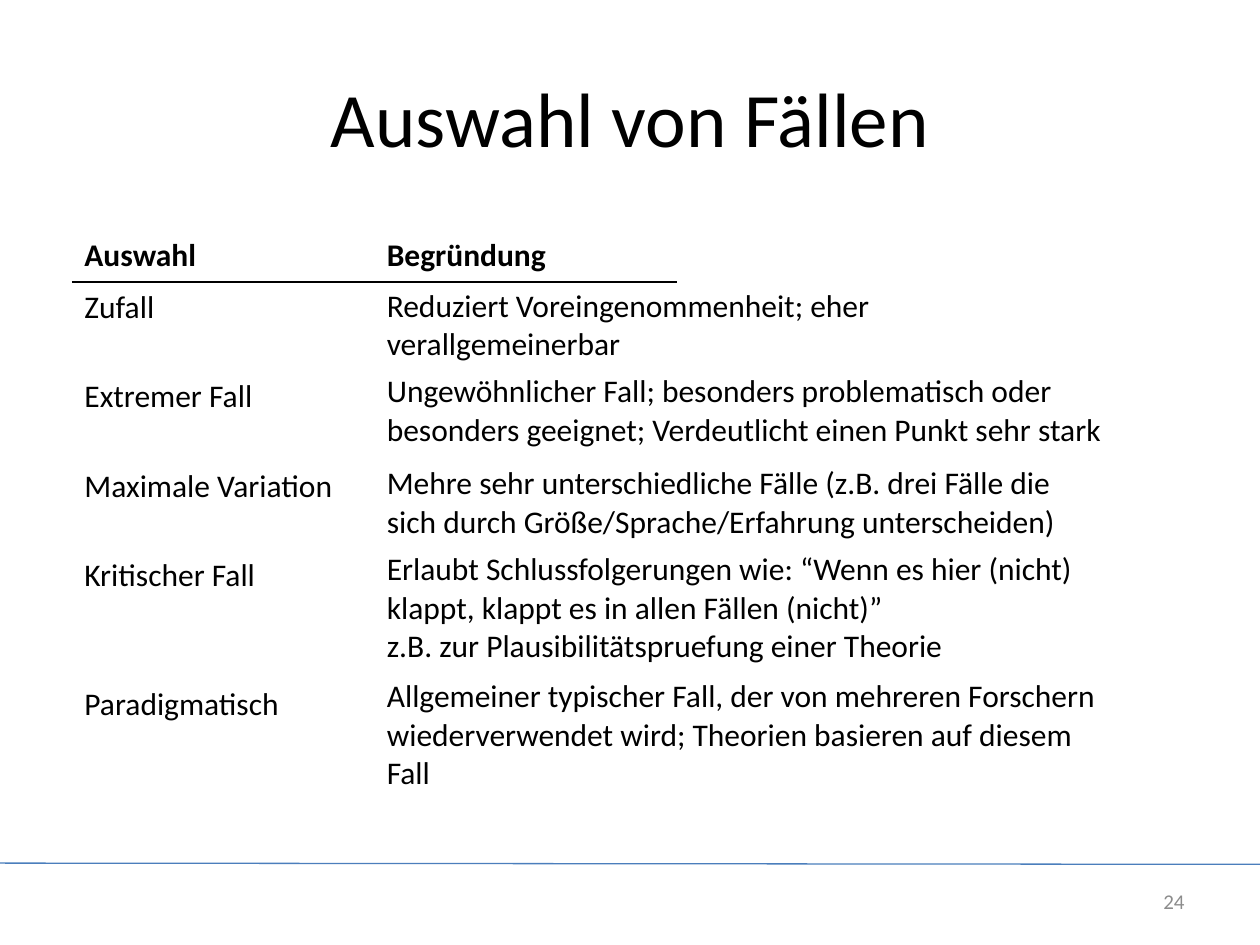
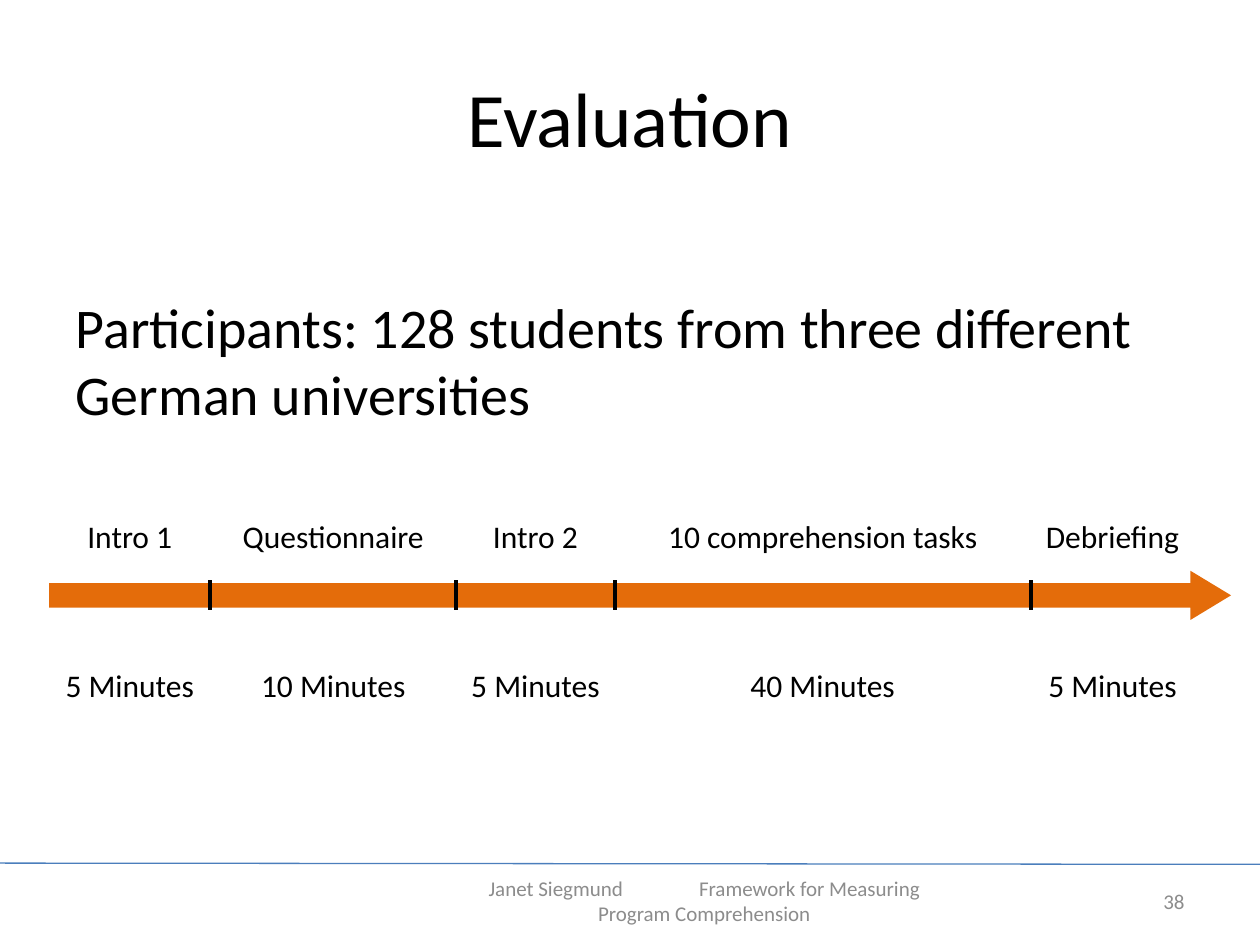
from lxml import etree
from pptx import Presentation, util as u
from pptx.dml.color import RGBColor
from pptx.enum import shapes, text
from pptx.oxml import ns

FONT = "Calibri"
BLACK, GREY, BLUE, ORANGE = "000000", "8C8C8C", "4B7EBC", "E46C0A"
LEFT, MID, RIGHT = text.PP_ALIGN.LEFT, text.PP_ALIGN.CENTER, text.PP_ALIGN.RIGHT
PLAIN = "{2D5ABB26-0587-4C30-8999-92F81FD0307C}"  # table style without grid
inch = u.Inches


def write(frame, words, size, tint=BLACK, align=MID, bold=False, anchor=text.MSO_ANCHOR.MIDDLE):
    frame.text = words
    frame.word_wrap = True
    frame.vertical_anchor = anchor
    for para in frame.paragraphs:
        para.alignment = align
        for run in para.runs:
            font = run.font
            font.name, font.size, font.bold = FONT, u.Pt(size), bold
            font.color.rgb = RGBColor.from_string(tint)


def draw(slide, x1, y1, x2, y2, tint, width):
    line = slide.shapes.add_connector(
        shapes.MSO_CONNECTOR.STRAIGHT, inch(x1), inch(y1), inch(x2), inch(y2))
    line.line.color.rgb = RGBColor.from_string(tint)
    line.line.width = u.Pt(width)
    etree.SubElement(line._element.spPr, ns.qn("a:effectLst"))


deck = Presentation()
deck.slide_width, deck.slide_height = inch(10), inch(7.5)

# Parts both slides share: rule, title and page number
pages = []
for layout, title, number in [(5, "Auswahl von Fällen", "24"), (1, "Evaluation", "38")]:
    slide = deck.slides.add_slide(deck.slide_layouts[layout])
    draw(slide, 0, 6.85, 10, 6.86, BLUE, 0.75)
    head = slide.shapes.title
    head.left, head.top, head.width, head.height = map(inch, (0.5, 0.3, 9, 1.25))
    write(head.text_frame, title, 44)
    box = slide.shapes.add_textbox(*map(inch, (8.59, 6.95, 0.91, 0.4)))
    write(box.text_frame, number, 12, GREY, RIGHT)
    pages.append(slide)
cases, study = pages

# Ways to select cases, with the reason for each beside it
COL, ROW, TWO, THREE = 2.4, 0.41, 0.71, 1.02
X1, TOP, WIDE = 0.57, 1.83, 5.94
X2 = X1 + COL
names = [("Auswahl", ROW), ("Zufall", TWO), ("Extremer Fall", TWO),
         ("Maximale Variation", TWO), ("Kritischer Fall", THREE), ("Paradigmatisch", ROW)]
reasons = [
    (TOP, COL, ROW, "Begründung"),
    (2.23, 4.69, TWO, "Reduziert Voreingenommenheit; eher verallgemeinerbar"),
    (2.91, WIDE, TWO, "Ungewöhnlicher Fall; besonders problematisch oder\n"
     "besonders geeignet; Verdeutlicht einen Punkt sehr stark"),
    (3.64, WIDE, TWO, "Mehre sehr unterschiedliche Fälle (z.B. drei Fälle die\n"
     "sich durch Größe/Sprache/Erfahrung unterscheiden)"),
    (4.32, WIDE, THREE, "Erlaubt Schlussfolgerungen wie: “Wenn es hier (nicht)\n"
     "klappt, klappt es in allen Fällen (nicht)”\n"
     "z.B. zur Plausibilitätspruefung einer Theorie"),
    (5.33, WIDE, THREE, "Allgemeiner typischer Fall, der von mehreren Forschern\n"
     "wiederverwendet wird; Theorien basieren auf diesem\nFall"),
]
grids = [(X1, TOP, COL, names)]
grids += [(X2, top, wide, [(words, high)]) for top, wide, high, words in reasons]
for left, top, wide, rows in grids:
    total = sum(high for _, high in rows)
    grid = cases.shapes.add_table(len(rows), 1, *map(inch, (left, top, wide, total))).table
    grid.first_row = grid.horz_banding = False
    grid._tbl.tblPr.find(ns.qn("a:tableStyleId")).text = PLAIN
    for i, (words, high) in enumerate(rows):
        grid.rows[i].height = inch(high)
        cell = grid.cell(i, 0)
        header = top == TOP and i == 0
        write(cell.text_frame, words, 18, align=LEFT, bold=header)
        cell.vertical_anchor = text.MSO_ANCHOR.TOP
        if header:
            edge = etree.SubElement(cell._tc.get_or_add_tcPr(), ns.qn("a:lnB"), w=str(u.Pt(1)))
            ink = etree.SubElement(edge, ns.qn("a:solidFill"))
            etree.SubElement(ink, ns.qn("a:srgbClr"), val=BLACK)
        cell.fill.background()

# Participants
body = study.placeholders[1]
body.left, body.top, body.width, body.height = map(inch, (0.5, 2.27, 9, 1.2))
write(body.text_frame, "Participants: 128 students from three different German universities",
      32, align=LEFT, anchor=text.MSO_ANCHOR.TOP)
para = body.text_frame.paragraphs[0]
para.space_before = u.Pt(0)
props = para._p.get_or_add_pPr()
props.set("marL", "0")
props.set("indent", "0")
etree.SubElement(props, ns.qn("a:buNone"))

# Footer, with a tab between author and talk
foot = study.shapes.add_textbox(*map(inch, (3.52, 6.95, 4.14, 0.4)))
write(foot.text_frame, "Janet Siegmund\tFramework for Measuring Program Comprehension", 12, GREY)
tabs = etree.SubElement(foot.text_frame.paragraphs[0]._p.get_or_add_pPr(), ns.qn("a:tabLst"))
etree.SubElement(tabs, ns.qn("a:tab"), pos=str(inch(1.67)), algn="l")

# Timeline of the session
arrow = study.shapes.add_shape(
    shapes.MSO_SHAPE.RIGHT_ARROW, *map(inch, (0.39, 4.53, 9.38, 0.39)))
arrow.adjustments[0], arrow.adjustments[1] = 0.5, 0.825
arrow.shadow.inherit = False
arrow.fill.solid()
arrow.fill.fore_color.rgb = RGBColor.from_string(ORANGE)
arrow.line.fill.background()

stops = [0.39, 1.67, 3.62, 4.88, 8.18, 9.48]
steps = [("Intro 1", 5), ("Questionnaire", 10), ("Intro 2", 5),
         ("10 comprehension tasks", 40), ("Debriefing", 5)]
for start, end, (step, mins) in zip(stops, stops[1:], steps):
    for top, words in [(3.98, step), (5.16, f"{mins} Minutes")]:
        box = study.shapes.add_textbox(*map(inch, (start, top, end - start, 0.55)))
        write(box.text_frame, words, 18)
for stop in stops[1:-1]:
    draw(study, stop, 4.84, stop, 4.6, BLACK, 2.25)

deck.save("out.pptx")
